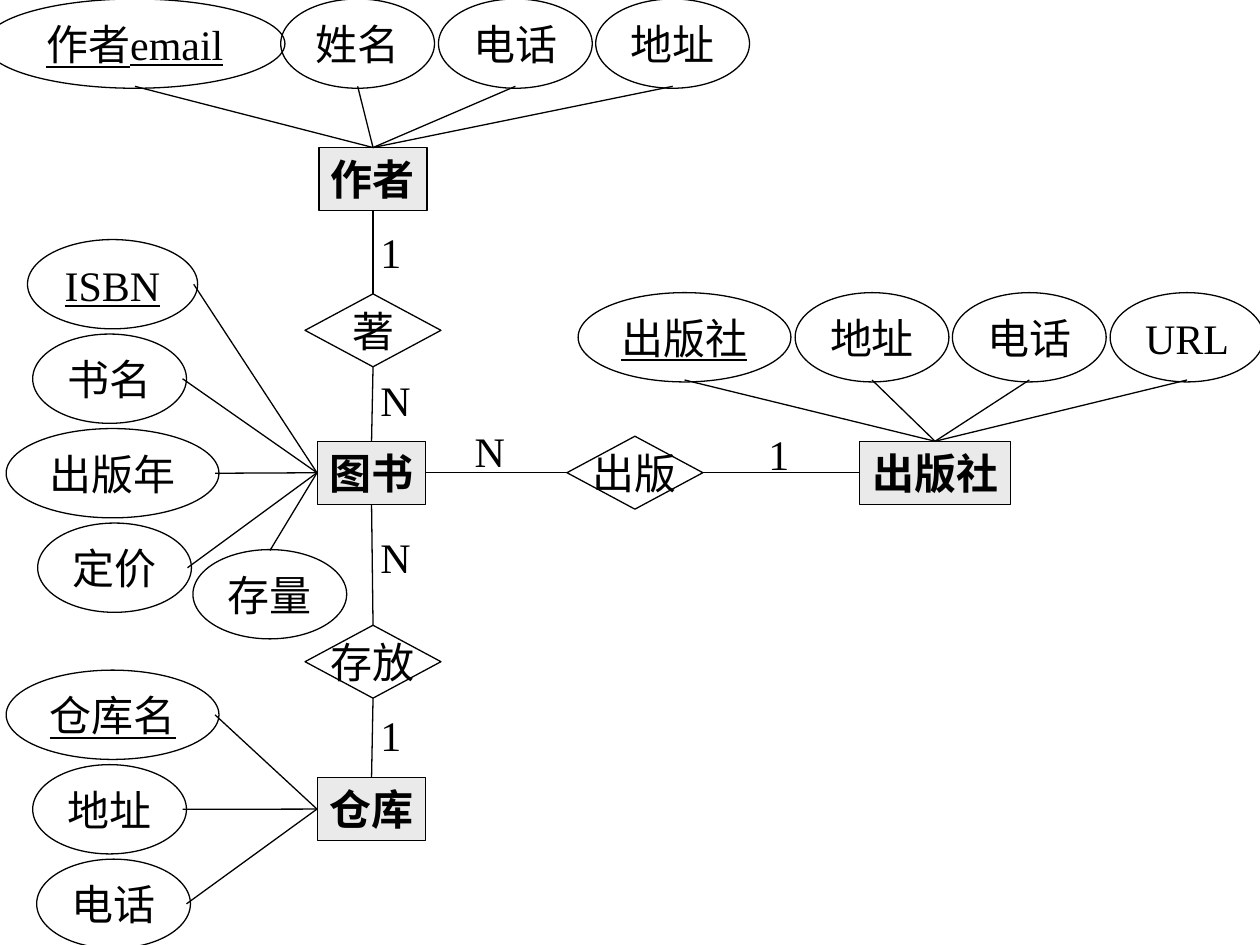
"""Build an entity-relationship diagram of books, authors, publishers and warehouses."""
from lxml.etree import SubElement
from pptx import Presentation
from pptx.dml.color import RGBColor
from pptx.enum.shapes import MSO_CONNECTOR as Connector, MSO_SHAPE as Shape
from pptx.enum.text import MSO_ANCHOR as Anchor, PP_ALIGN as Align
from pptx.oxml.ns import qn
from pptx.util import Cm, Pt

COLORS = {"ink": "000000", "entity": "EAEAEA"}
FONT = "Times New Roman"
LINE_WIDTH = Pt(0.75)
ENTITY_HEIGHT = 1.27
OVAL_HEIGHT = 1.8
DIAMOND_WIDTH, DIAMOND_HEIGHT = 2.74, 1.47
SHORT, LONG = 3.1, 4.29
ROW_STEP = 1.905
OVERLAP = 0.08

AUTHOR, BOOK, PUBLISHER, WAREHOUSE = (7.52, 3.61), (7.49, 9.53), (18.85, 9.53), (7.49, 16.31)
ENTITIES = [("作者", AUTHOR, 2.18), ("图书", BOOK, 2.18),
            ("出版社", PUBLISHER, 3.05), ("仓库", WAREHOUSE, 2.18)]
WRITES, PUBLISHES, STORES = (7.52, 6.66), (12.8, 9.53), (7.52, 13.34)
RELATIONS = [("著", WRITES), ("出版", PUBLISHES), ("存放", STORES)]
VERTICAL_LINKS = [(AUTHOR, WRITES, ENTITY_HEIGHT, DIAMOND_HEIGHT),
                  (WRITES, BOOK, DIAMOND_HEIGHT, ENTITY_HEIGHT),
                  (BOOK, STORES, ENTITY_HEIGHT, DIAMOND_HEIGHT),
                  (STORES, WAREHOUSE, DIAMOND_HEIGHT, ENTITY_HEIGHT)]
HORIZONTAL_LINKS = [(BOOK, PUBLISHES, 2.18, DIAMOND_WIDTH),
                    (PUBLISHES, PUBLISHER, DIAMOND_WIDTH, 3.05)]

AUTHOR_FIELDS = [("作者email", 2.72, 6.05, True), ("姓名", 7.21, SHORT, False),
                 ("电话", 10.39, SHORT, False), ("地址", 13.56, SHORT, False)]
PUBLISHER_FIELDS = [("出版社", 13.8, LONG, True), ("地址", 17.58, SHORT, False),
                    ("电话", 20.75, SHORT, False), ("URL", 23.93, SHORT, False)]
BOOK_FIELDS = [("ISBN", 2.27, 3.43, True), ("书名", 2.21, SHORT, False),
               ("出版年", 2.27, LONG, False), ("定价", 2.31, SHORT, False)]
WAREHOUSE_FIELDS = [("仓库名", 2.27, LONG, True), ("地址", 2.21, SHORT, False),
                    ("电话", 2.29, SHORT, False)]
CARDINALITIES = [("1", 7.42, 4.45), ("N", 7.42, 7.42), ("N", 9.32, 8.46),
                 ("1", 15.24, 8.51), ("N", 7.42, 10.59), ("1", 7.42, 14.17)]


def add_text(box, text, bold=False, underline=None, align=Align.CENTER, anchor=Anchor.MIDDLE):
    """Write one formatted line of text into a box."""
    frame = box.text_frame
    frame.word_wrap = False
    frame.vertical_anchor = anchor
    para = frame.paragraphs[0]
    para.alignment = align
    span = para.add_run()
    span.text = text
    font = span.font
    font.name, font.size, font.bold, font.underline = FONT, Pt(24), bold, underline
    font.color.rgb = RGBColor.from_string(COLORS["ink"])


def add_node(slide, kind, center, width, height, text, fill=None, **text_format):
    """Add an outlined shape around a centre point."""
    x, y = center
    node = slide.shapes.add_shape(kind, Cm(x - width / 2), Cm(y - height / 2), Cm(width), Cm(height))
    node.shadow.inherit = False
    if fill:
        node.fill.solid()
        node.fill.fore_color.rgb = RGBColor.from_string(fill)
    else:
        node.fill.background()
    node.line.color.rgb = RGBColor.from_string(COLORS["ink"])
    node.line.width = LINE_WIDTH
    add_text(node, text, **text_format)


def add_line(slide, start, end):
    """Add a thin straight line between two points."""
    line = slide.shapes.add_connector(Connector.STRAIGHT, *map(Cm, start + end))
    line.line.color.rgb = RGBColor.from_string(COLORS["ink"])
    line.line.width = LINE_WIDTH
    SubElement(line._element.spPr, qn("a:effectLst"))


def add_field(slide, text, center, width, key=False):
    """Add an attribute oval, underlined when it is a key."""
    add_node(slide, Shape.OVAL, center, width, OVAL_HEIGHT, text, underline=key or None)


def add_field_row(slide, fields, y, entity):
    """Add a row of attributes above an entity and join them to its top."""
    x, middle = entity
    for text, center, width, key in fields:
        add_field(slide, text, (center, y), width, key)
        add_line(slide, (x, middle - ENTITY_HEIGHT / 2), (center, y + OVAL_HEIGHT / 2 - OVERLAP / 2))


def add_field_column(slide, fields, top, entity):
    """Add a column of attributes beside an entity and join them to its left side."""
    for row, (text, center, width, key) in enumerate(fields):
        y = top + row * ROW_STEP
        add_field(slide, text, (center, y), width, key)
        add_line(slide, (entity[0] - 1.1, entity[1]), (center + width / 2 - OVERLAP, y))


def add_cardinality(slide, text, left, top):
    """Add a cardinality label."""
    box = slide.shapes.add_textbox(Cm(left), Cm(top), Cm(1.12 if text == "N" else 0.91), Cm(1.27))
    add_text(box, text, align=Align.LEFT, anchor=Anchor.TOP)


def main():
    """Build and save the deck."""
    deck = Presentation()
    deck.slide_width, deck.slide_height = Cm(25.4), Cm(19.05)
    slide = deck.slides.add_slide(deck.slide_layouts[6])
    for text, center, width in ENTITIES:
        add_node(slide, Shape.RECTANGLE, center, width, ENTITY_HEIGHT, text,
                 fill=COLORS["entity"], bold=True)
    add_field_row(slide, AUTHOR_FIELDS, 0.88, AUTHOR)
    add_field_row(slide, PUBLISHER_FIELDS, 6.8, PUBLISHER)
    add_field_column(slide, BOOK_FIELDS, 5.73, BOOK)
    add_field_column(slide, WAREHOUSE_FIELDS, 14.41, WAREHOUSE)
    add_field(slide, "存量", (5.44, 11.98), SHORT)
    add_line(slide, (BOOK[0] - 1.1, BOOK[1]), (5.44, 11.1))
    for text, center in RELATIONS:
        add_node(slide, Shape.DIAMOND, center, DIAMOND_WIDTH, DIAMOND_HEIGHT, text)
    for (x1, y1), (x2, y2), upper, lower in VERTICAL_LINKS:
        add_line(slide, (x1, y1 + upper / 2), (x2, y2 - lower / 2))
    for (x1, y1), (x2, y2), left, right in HORIZONTAL_LINKS:
        add_line(slide, (x1 + left / 2, y1), (x2 - right / 2, y2))
    for text, left, top in CARDINALITIES:
        add_cardinality(slide, text, left, top)
    deck.save("out.pptx")


if __name__ == "__main__":
    main()
